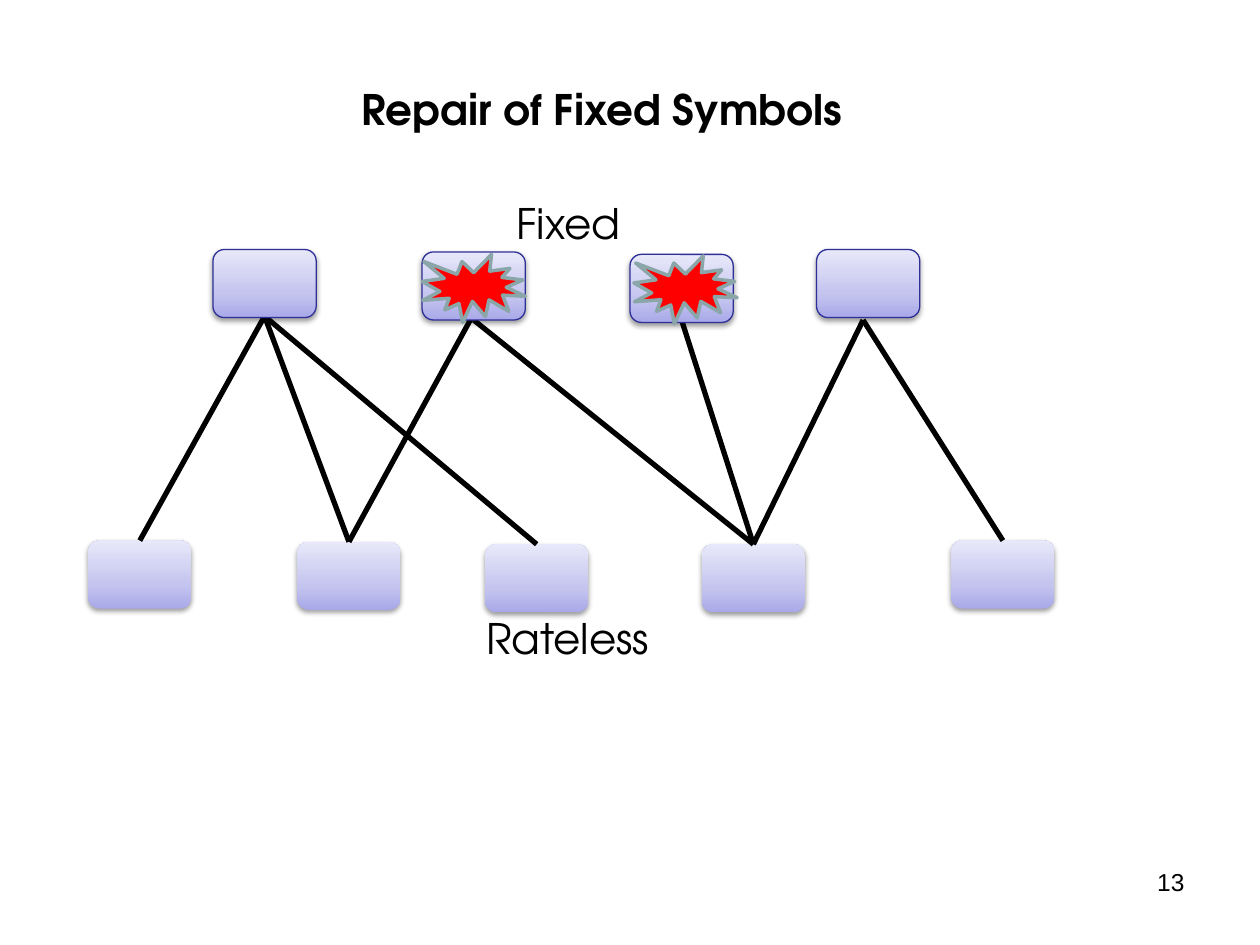
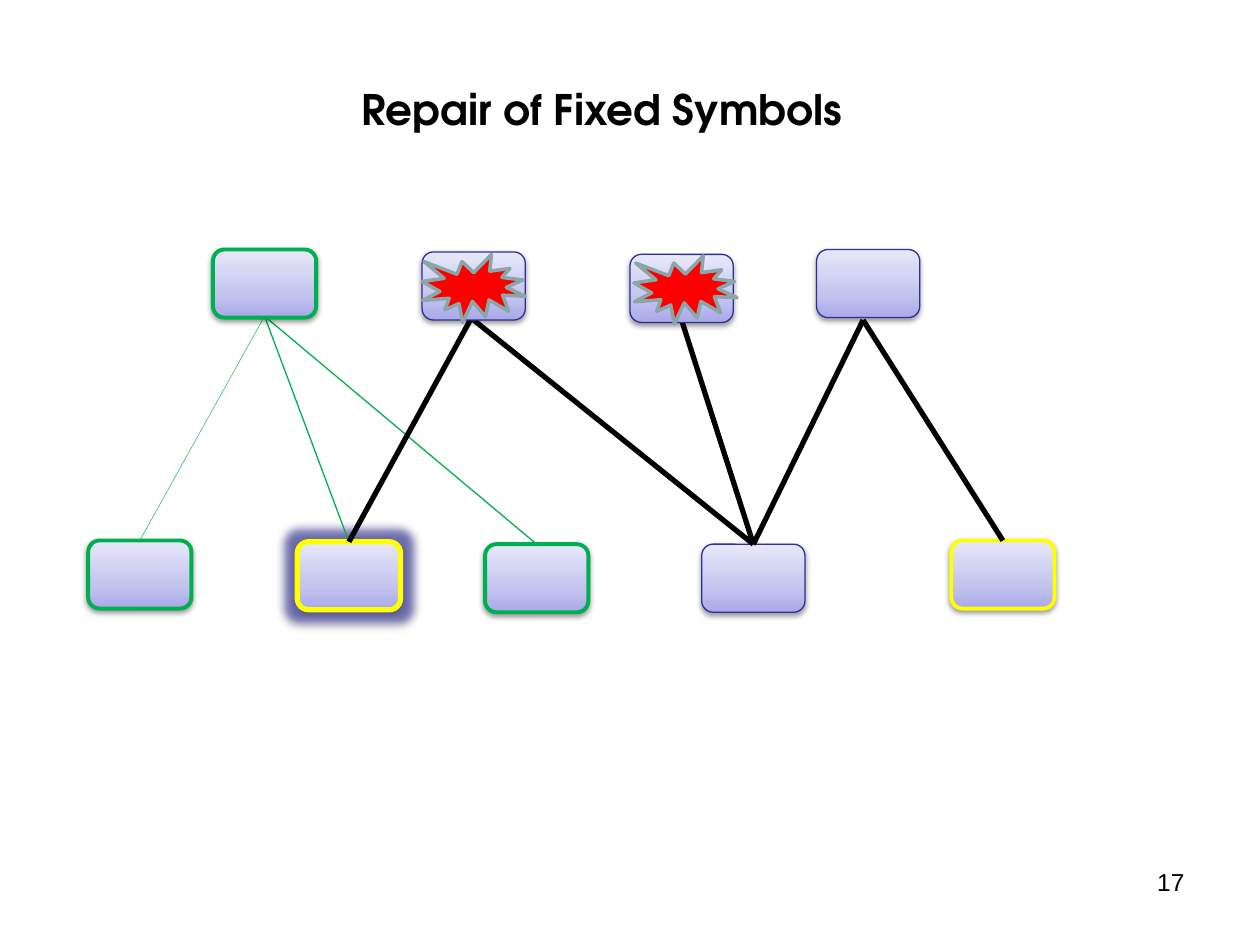
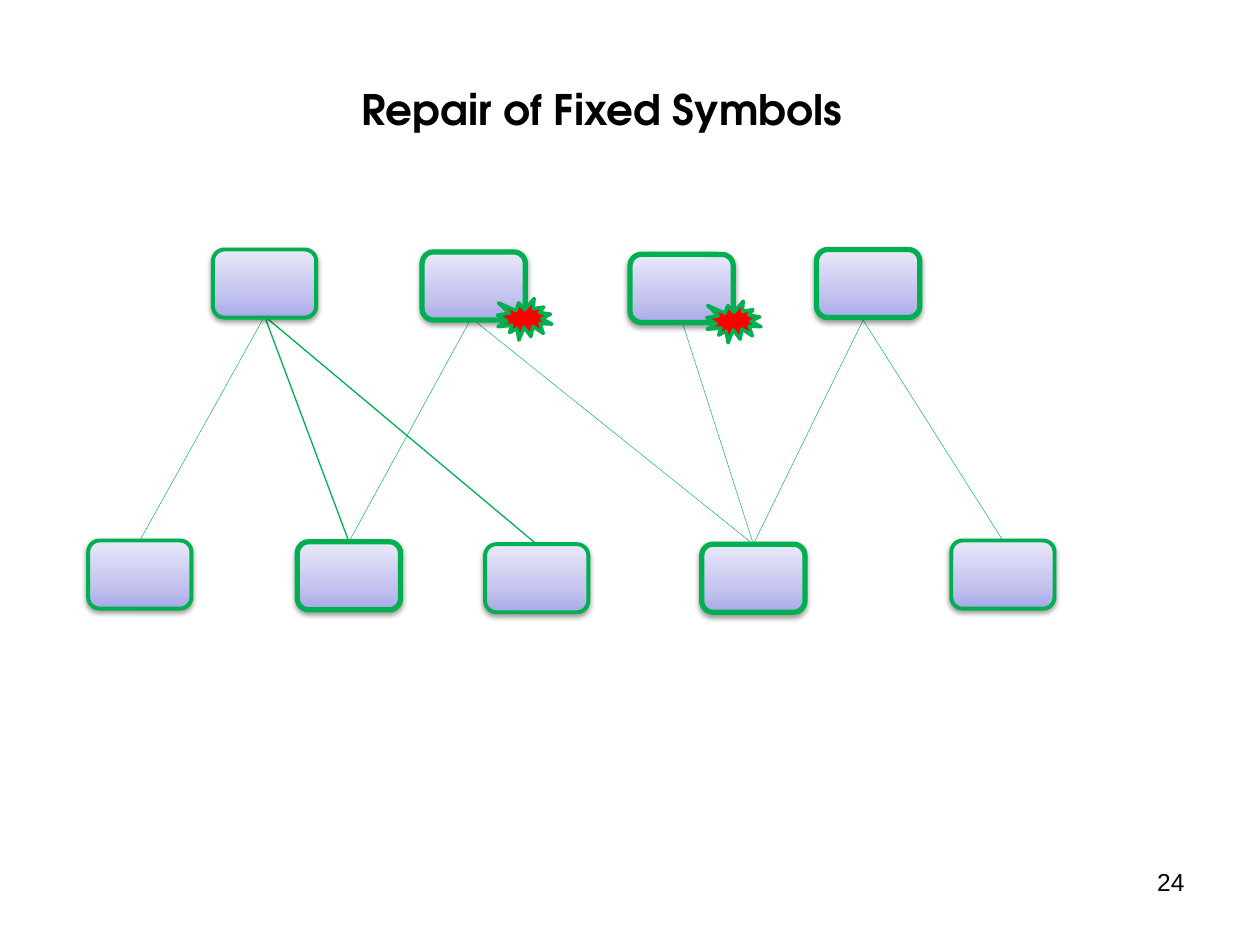
import copy
from collections import namedtuple
from dataclasses import dataclass

import pptx
import pptx.dml.color
import pptx.enum.shapes
import pptx.enum.text
import pptx.oxml
import pptx.oxml.ns
import pptx.util

Pt = pptx.util.Pt
Shapes = pptx.enum.shapes.MSO_SHAPE
Align = pptx.enum.text.PP_ALIGN
Stroke = namedtuple("Stroke", "colour width")
Stage = namedtuple("Stage", "number fixed rateless links bursts burst_size burst_stroke glowing labels")


@dataclass(frozen=True)
class Theme:
    black: str = "000000"
    navy: str = "2F2F98"
    green: str = "00B050"
    yellow: str = "FFFF00"
    red: str = "FF0000"
    grey: str = "8AA6A8"
    gradient: tuple = ((0, "A9A9E9"), (0.35, "C4C4EF"), (1, "E8E8FA"))
    heading_font: str = "TeX Gyre Adventor"
    number_font: str = "Arial"
    heading_size: int = 24
    number_size: int = 14


THEME = Theme()
THICK = Stroke(THEME.black, 3)
NAVY = Stroke(THEME.navy, 0.75)
GREEN_HAIR, GREEN_THIN, GREEN, GREEN_BOLD = (Stroke(THEME.green, width) for width in (0.25, 0.75, 2.25, 3))
YELLOW, YELLOW_BOLD = (Stroke(THEME.yellow, width) for width in (2.25, 3))

SYMBOL_SIZE = (59, 38.9)
FIXED = ((121.7, 142.6), (241.2, 144), (360, 145.4), (466.6, 142.6))
RATELESS = ((50.4, 308.9), (169.9, 309.6), (277.2, 311), (401, 311), (543.6, 308.9))
LINKS = (
    ((151.2, 180.7), 0), ((151.2, 180.7), 1), ((151.2, 180.7), 2),
    ((270.7, 179.3), 1), ((270.7, 182.9), 3), ((389.5, 182.9), 3),
    ((493.2, 182.9), 3), ((493.2, 182.9), 4),
)
LOST = ((241.2, 145.4), (362.2, 146.2))
RESTORED = ((284.4, 170.6), (403.9, 172.1))
LABELS = (("Fixed", (288, 109.4, 103.7, 36), True), ("Rateless", (270.7, 346.3, 109.4, 36), False))
LOST_STROKE = Stroke(THEME.grey, 2)

STAGES = (
    Stage("13", [NAVY] * 4, [None] * 5, [THICK] * 8, LOST, SYMBOL_SIZE, LOST_STROKE, None, LABELS),
    Stage("17", [GREEN] + [NAVY] * 3, [GREEN, YELLOW_BOLD, GREEN, NAVY, YELLOW],
          [GREEN_HAIR] + [GREEN_THIN] * 2 + [THICK] * 5, LOST, SYMBOL_SIZE, LOST_STROKE, 1, ()),
    Stage("24", [GREEN] + [GREEN_BOLD] * 3, [GREEN, GREEN_BOLD, GREEN, GREEN_BOLD, GREEN],
          [GREEN_HAIR] + [GREEN_THIN] * 2 + [GREEN_HAIR] * 5, RESTORED, (31, 23.8),
          Stroke(THEME.green, 2), None, ()),
)


def rgb(colour):
    return pptx.dml.color.RGBColor.from_string(colour)


def effect(tag, colour, alpha, **lengths):
    attributes = " ".join(f'{key}="{int(value)}"' for key, value in lengths.items())
    return pptx.oxml.parse_xml(
        f'<a:{tag} {pptx.oxml.ns.nsdecls("a")} {attributes}>'
        f'<a:srgbClr val="{colour}"><a:alpha val="{alpha * 1000}"/></a:srgbClr></a:{tag}>'
    )


class Deck:
    def __init__(self, theme):
        self.theme = theme
        self.presentation = pptx.Presentation()
        self.presentation.slide_width = Pt(720)
        self.presentation.slide_height = Pt(540)
        self.slide = None

    def new_slide(self):
        self.slide = self.presentation.slides.add_slide(self.presentation.slide_layouts[5])

    def set_text(self, holder, words, font, size, bold=False, align=Align.LEFT, wrap=True, grow=True):
        frame = holder.text_frame
        frame.text = words
        frame.word_wrap = wrap
        sizing = pptx.enum.text.MSO_AUTO_SIZE
        frame.auto_size = sizing.SHAPE_TO_FIT_TEXT if grow else sizing.NONE
        frame.vertical_anchor = pptx.enum.text.MSO_ANCHOR.TOP
        paragraph = frame.paragraphs[0]
        paragraph.alignment = align
        paragraph.font.name = font
        paragraph.font.size = Pt(size)
        paragraph.font.bold = bold
        paragraph.font.color.rgb = rgb(self.theme.black)

    def title(self, words):
        heading = self.slide.shapes.title
        heading.left, heading.top, heading.width, heading.height = map(Pt, (199.4, 43.9, 313.9, 36))
        self.set_text(heading, words, self.theme.heading_font, self.theme.heading_size, bold=True)

    def label(self, words, area, wrap):
        caption = self.slide.shapes.add_textbox(*map(Pt, area))
        self.set_text(caption, words, self.theme.heading_font, self.theme.heading_size, wrap=wrap)

    def page_number(self, number):
        footer = self.slide.shapes.add_textbox(*map(Pt, (516.2, 491.8, 167.8, 37.4)))
        self.set_text(footer, number, self.theme.number_font, self.theme.number_size,
                      align=Align.RIGHT, grow=False)

    def stroke(self, line, stroke):
        if stroke is None:
            line.fill.background()
        else:
            line.color.rgb = rgb(stroke.colour)
            line.width = Pt(stroke.width)

    def outlined(self, preset, corner, size, stroke):
        shape = self.slide.shapes.add_shape(preset, *map(Pt, corner + size))
        shape.shadow.inherit = False
        self.stroke(shape.line, stroke)
        return shape

    def symbol(self, corner, stroke, glowing=False):
        block = self.outlined(Shapes.ROUNDED_RECTANGLE, corner, SYMBOL_SIZE, stroke)
        block.fill.gradient()
        block.fill.gradient_angle = 90
        properties = block._element.spPr
        stops = properties.find(".//" + pptx.oxml.ns.qn("a:gsLst"))
        stops.append(copy.deepcopy(stops[-1]))
        for stop, (position, colour) in zip(block.fill.gradient_stops, self.theme.gradient):
            stop.position = position
            stop.color.rgb = rgb(colour)
        effects = properties.find(pptx.oxml.ns.qn("a:effectLst"))
        if glowing:
            effects.append(effect("glow", self.theme.navy, 60, rad=Pt(11)))
        effects.append(effect("outerShdw", self.theme.black, 38,
                              blurRad=Pt(3.1), dist=Pt(1.6), dir=90 * 60000, rotWithShape=0))

    def burst(self, corner, size, stroke):
        mark = self.outlined(Shapes.EXPLOSION1, corner, size, stroke)
        mark.fill.solid()
        mark.fill.fore_color.rgb = rgb(self.theme.red)

    def link(self, start, end, stroke):
        edge = self.slide.shapes.add_connector(
            pptx.enum.shapes.MSO_CONNECTOR.STRAIGHT, *map(Pt, start + end))
        self.stroke(edge.line, stroke)
        edge._element.spPr.append(pptx.oxml.parse_xml(f'<a:effectLst {pptx.oxml.ns.nsdecls("a")}/>'))


def build_stage(deck, stage):
    deck.new_slide()
    deck.title("Repair of Fixed Symbols")
    deck.page_number(stage.number)
    for index, (corner, stroke) in enumerate(zip(RATELESS, stage.rateless)):
        deck.symbol(corner, stroke, glowing=index == stage.glowing)
    for (start, target), stroke in zip(LINKS, stage.links):
        left, top = RATELESS[target]
        deck.link(start, (left + SYMBOL_SIZE[0] / 2, top), stroke)
    for corner, stroke in zip(FIXED, stage.fixed):
        deck.symbol(corner, stroke)
    for corner in stage.bursts:
        deck.burst(corner, stage.burst_size, stage.burst_stroke)
    for words, area, wrap in stage.labels:
        deck.label(words, area, wrap)


def main():
    deck = Deck(THEME)
    for stage in STAGES:
        build_stage(deck, stage)
    deck.presentation.save("out.pptx")


if __name__ == "__main__":
    main()
